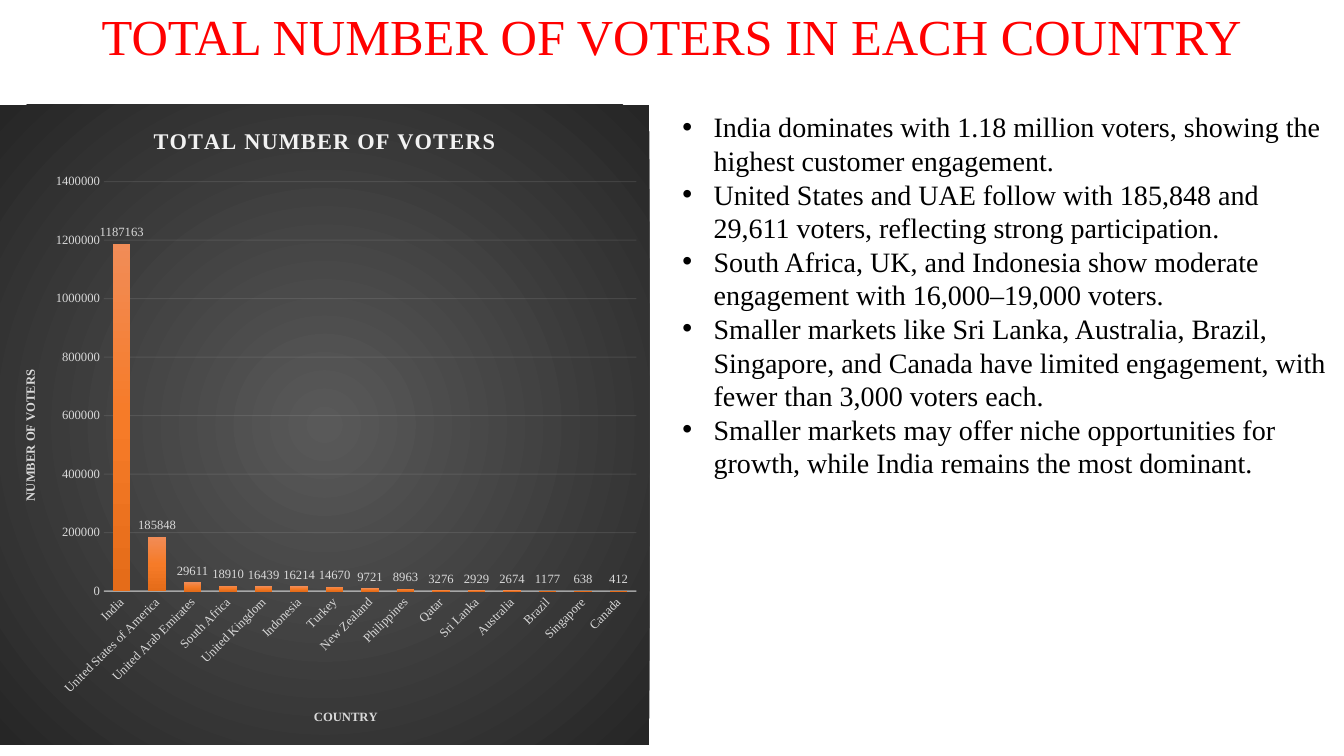
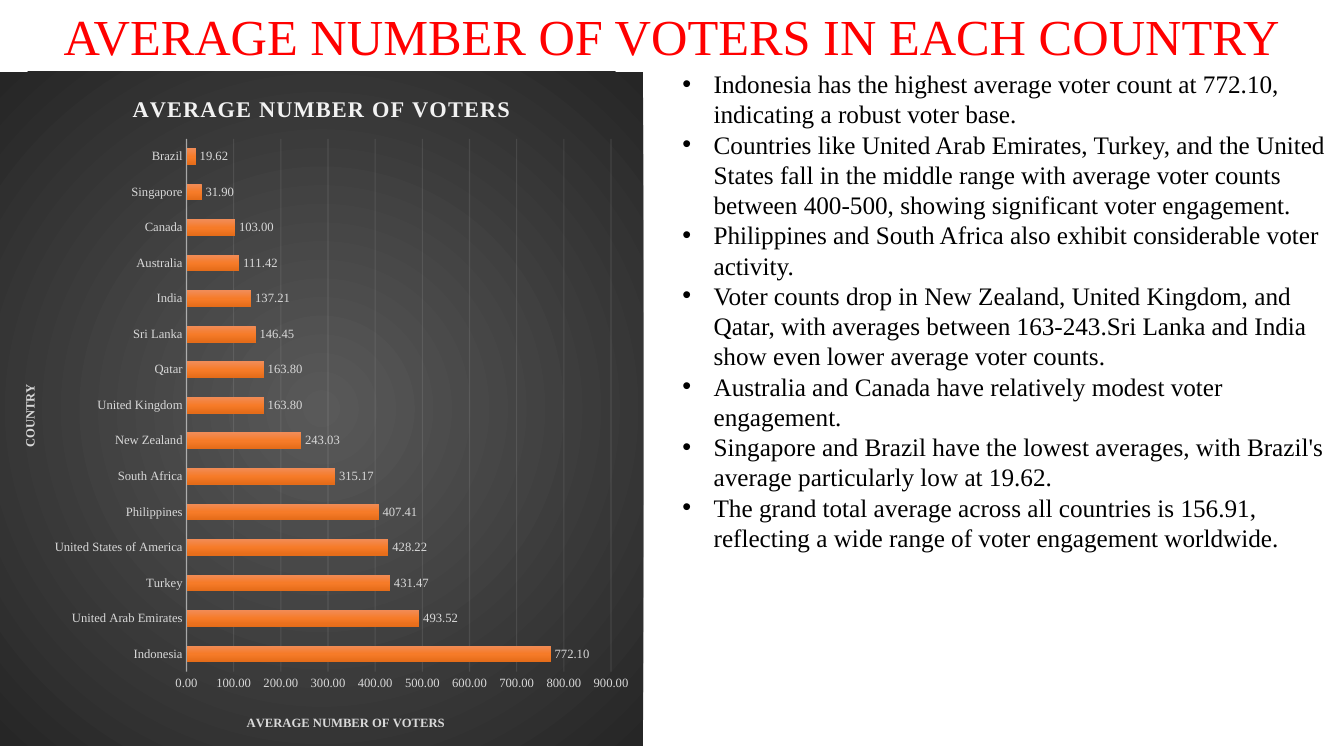
from dataclasses import dataclass

from lxml import etree
from pptx import Presentation
from pptx.chart.data import CategoryChartData
from pptx.dml.color import RGBColor
from pptx.enum.chart import XL_CHART_TYPE, XL_LABEL_POSITION, XL_TICK_MARK
from pptx.enum.text import MSO_AUTO_SIZE, PP_ALIGN
from pptx.oxml import parse_xml
from pptx.oxml.ns import nsdecls, qn
from pptx.util import Inches, Pt

COLUMNS = XL_CHART_TYPE.COLUMN_CLUSTERED
BARS = XL_CHART_TYPE.BAR_CLUSTERED
OUTSIDE_END = XL_LABEL_POSITION.OUTSIDE_END
NO_TICK = XL_TICK_MARK.NONE
GROW = MSO_AUTO_SIZE.SHAPE_TO_FIT_TEXT
CENTER = PP_ALIGN.CENTER
LEFT = PP_ALIGN.LEFT

LINEAR = '<a:lin ang="5400000" scaled="0"/>'
RADIAL = ('<a:path path="circle"><a:fillToRect l="50000" t="50000" '
          'r="50000" b="50000"/></a:path>')


@dataclass(frozen=True)
class Theme:
    font: str = "Times New Roman"
    heading: str = "FF0000"
    body: str = "000000"
    chart_title: str = "F2F2F2"
    chart_text: str = "D9D9D9"
    rule: str = "F2F2F2"
    backdrop: tuple = ((0, "595959"), (100, "262626"))
    bar: tuple = ((0, "F18C57"), (50, "F67B28"), (100, "E56C19"))
    heading_size: int = 36
    chart_title_size: int = 16
    chart_size: int = 9


def gradient(stops, direction):
    marks = "".join(
        f'<a:gs pos="{place * 1000}"><a:srgbClr val="{color}"/></a:gs>'
        for place, color in stops)
    return (f'<a:gradFill {nsdecls("a")} rotWithShape="1">'
            f'<a:gsLst>{marks}</a:gsLst>{direction}</a:gradFill>')


def manual_layout(x, y, width=None, height=None):
    """Place a chart part by fractions of the chart's own size."""
    fields = {"xMode": "edge", "yMode": "edge", "x": x, "y": y}
    if width is not None:
        fields = {"layoutTarget": "inner", **fields, "w": width, "h": height}
    body = "".join(f'<c:{tag} val="{value}"/>' for tag, value in fields.items())
    return parse_xml(f'<c:layout {nsdecls("c")}><c:manualLayout>{body}'
                     '</c:manualLayout></c:layout>')


def drop_layout(element):
    for old in element.findall(qn("c:layout")):
        element.remove(old)


class VoterDeck:
    def __init__(self, theme):
        self.theme = theme
        self.deck = Presentation()
        self.deck.slide_width = Inches(13.33)
        self.deck.slide_height = Inches(7.5)
        self.page = None

    def new_page(self, heading):
        self.page = self.deck.slides.add_slide(self.deck.slide_layouts[6])
        self.text_box((0, 0, 13.33, 0.71), [heading], self.theme.heading_size,
                      self.theme.heading, CENTER)

    def style(self, font, size, color, bold=False):
        font.name = self.theme.font
        font.size = Pt(size)
        font.bold = bold
        font.color.rgb = RGBColor.from_string(color)

    def text_box(self, place, lines, size, color, align):
        box = self.page.shapes.add_textbox(*map(Inches, place))
        frame = box.text_frame
        frame.word_wrap = True
        frame.auto_size = GROW
        for number, line in enumerate(lines):
            para = frame.paragraphs[0] if number == 0 else frame.add_paragraph()
            para.alignment = align
            span = para.add_run()
            span.text = line
            self.style(span.font, size, color)
        return box

    def bullets(self, place, lines, size):
        box = self.text_box(place, lines, size, self.theme.body, LEFT)
        indent = Inches(0.31)
        for para in box.text_frame.paragraphs:
            properties = para._p.get_or_add_pPr()
            properties.set("marL", str(indent))
            properties.set("indent", str(-indent))
            etree.SubElement(properties, qn("a:buFont")).set("typeface", "Arial")
            etree.SubElement(properties, qn("a:buChar")).set("char", "•")

    def rule(self, line, width, opacity):
        line.width = Pt(width)
        line.color.rgb = RGBColor.from_string(self.theme.rule)
        for color in line._get_or_add_ln().iter(qn("a:srgbClr")):
            etree.SubElement(color, qn("a:alpha")).set("val", str(opacity * 1000))

    def axis(self, axis, title, corner, upright):
        theme = self.theme
        axis.major_tick_mark = axis.minor_tick_mark = NO_TICK
        self.style(axis.tick_labels.font, theme.chart_size, theme.chart_text)
        frame = axis.axis_title.text_frame
        span = frame.paragraphs[0].add_run()
        span.text = title
        self.style(span.font, theme.chart_size, theme.chart_text, bold=True)
        body = frame._txBody.find(qn("a:bodyPr"))
        body.set("rot", "-5400000" if upright else "0")
        body.set("vert", "horz")
        element = axis.axis_title._element
        drop_layout(element)
        element.find(qn("c:tx")).addnext(manual_layout(*corner))

    def chart(self, kind, place, title, values, *, gap, overlap, top, step,
              number_format, plot_area, category_corner, value_corner):
        theme = self.theme
        data = CategoryChartData(number_format=number_format)
        data.categories = list(values)
        data.add_series(title, list(values.values()))
        chart = self.page.shapes.add_chart(
            kind, *map(Inches, place), data).chart
        self.style(chart.font, 10, theme.body)
        chart.has_legend = False

        chart.has_title = True
        span = chart.chart_title.text_frame.paragraphs[0].add_run()
        span.text = title
        self.style(span.font, theme.chart_title_size, theme.chart_title, bold=True)
        span.font._element.set("spc", "100")

        space = chart._chartSpace
        space.find(qn("c:chart")).addnext(parse_xml(
            f'<c:spPr {nsdecls("c", "a")}>{gradient(theme.backdrop, RADIAL)}'
            '<a:ln><a:noFill/></a:ln></c:spPr>'))
        area = space.find(qn("c:chart")).find(qn("c:plotArea"))
        drop_layout(area)
        area.insert(0, manual_layout(*plot_area))

        categories, amounts = chart.category_axis, chart.value_axis
        self.axis(categories, "COUNTRY", category_corner, kind == BARS)
        self.axis(amounts, "NUMBER OF VOTERS" if kind == COLUMNS else title,
                  value_corner, kind == COLUMNS)
        self.rule(categories.format.line, 1, 54)
        if kind == COLUMNS:
            labels = categories._element.find(qn("c:txPr"))
            labels.find(qn("a:bodyPr")).set("rot", "-2700000")
        amounts.minimum_scale = 0
        amounts.maximum_scale = top
        amounts.major_unit = step
        amounts.format.line.fill.background()
        amounts.has_major_gridlines = True
        self.rule(amounts.major_gridlines.format.line, 0.75, 10)
        amounts.tick_labels.number_format = number_format
        amounts.tick_labels.number_format_is_linked = False

        plot = chart.plots[0]
        plot.vary_by_categories = False
        plot.gap_width = gap
        plot.overlap = overlap
        bars = plot.series[0]
        bars.invert_if_negative = False
        bars._element.get_or_add_spPr().append(
            parse_xml(gradient(theme.bar, LINEAR)))
        plot.has_data_labels = True
        labels = plot.data_labels
        labels.show_value = True
        labels.position = OUTSIDE_END
        labels.number_format = number_format
        labels.number_format_is_linked = False
        self.style(labels.font, theme.chart_size, theme.chart_text)


TOTALS = {
    "India": 1187163, "United States of America": 185848,
    "United Arab Emirates": 29611, "South Africa": 18910,
    "United Kingdom": 16439, "Indonesia": 16214, "Turkey": 14670,
    "New Zealand": 9721, "Philippines": 8963, "Qatar": 3276,
    "Sri Lanka": 2929, "Australia": 2674, "Brazil": 1177,
    "Singapore": 638, "Canada": 412,
}
AVERAGES = {
    "Indonesia": 772.1, "United Arab Emirates": 493.52, "Turkey": 431.47,
    "United States of America": 428.22, "Philippines": 407.41,
    "South Africa": 315.17, "New Zealand": 243.03, "United Kingdom": 163.8,
    "Qatar": 163.8, "Sri Lanka": 146.45, "India": 137.21,
    "Australia": 111.42, "Canada": 103, "Singapore": 31.9, "Brazil": 19.62,
}
TOTAL_POINTS = [
    "India dominates with 1.18 million voters, showing the highest customer "
    "engagement.",
    "United States and UAE follow with 185,848 and 29,611 voters, reflecting "
    "strong participation.",
    "South Africa, UK, and Indonesia show moderate engagement with "
    "16,000–19,000 voters.",
    "Smaller markets like Sri Lanka, Australia, Brazil, Singapore, and Canada "
    "have limited engagement, with fewer than 3,000 voters each.",
    "Smaller markets may offer niche opportunities for growth, while India "
    "remains the most dominant.",
]
AVERAGE_POINTS = [
    "Indonesia has the highest average voter count at 772.10, indicating a "
    "robust voter base.",
    "Countries like United Arab Emirates, Turkey, and the United States fall "
    "in the middle range with average voter counts between 400-500, showing "
    "significant voter engagement.",
    "Philippines and South Africa also exhibit considerable voter activity.",
    "Voter counts drop in New Zealand, United Kingdom, and Qatar, with "
    "averages between 163-243.Sri Lanka and India show even lower average "
    "voter counts.",
    "Australia and Canada have relatively modest voter engagement.",
    "Singapore and Brazil have the lowest averages, with Brazil's average "
    "particularly low at 19.62.",
    "The grand total average across all countries is 156.91, reflecting a "
    "wide range of voter engagement worldwide.",
]


def main():
    voters = VoterDeck(Theme())

    voters.new_page("TOTAL NUMBER OF VOTERS IN EACH COUNTRY")
    voters.chart(COLUMNS, (0, 1.04, 6.44, 6.35), "TOTAL NUMBER OF VOTERS",
                 TOTALS, gap=100, overlap=-24, top=1400000, step=200000,
                 number_format="General", plot_area=(0.16, 0.12, 0.82, 0.64),
                 category_corner=(0.48, 0.94), value_corner=(0.03, 0.41))
    voters.bullets((6.67, 1.04, 6.67, 3.8), TOTAL_POINTS, 20)

    voters.new_page("AVERAGE NUMBER OF VOTERS IN EACH COUNTRY")
    voters.chart(BARS, (0, 0.71, 6.38, 6.69), "AVERAGE NUMBER OF VOTERS",
                 AVERAGES, gap=115, overlap=-20, top=900, step=100,
                 number_format="0.00", plot_area=(0.29, 0.1, 0.66, 0.79),
                 category_corner=(0.03, 0.46), value_corner=(0.38, 0.95))
    voters.bullets((6.67, 0.63, 6.67, 4.95), AVERAGE_POINTS, 18)

    voters.deck.save("out.pptx")


if __name__ == "__main__":
    main()
